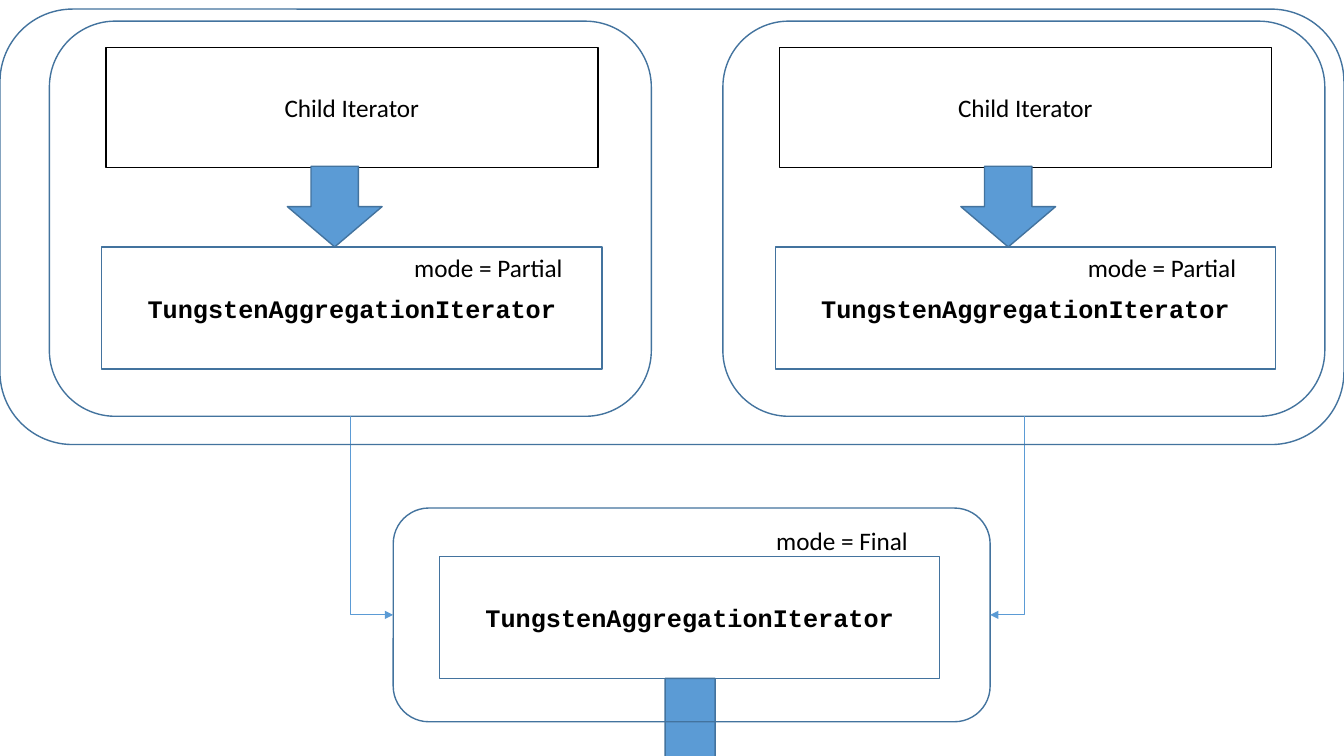
import pptx
import pptx.util
import pptx.dml.color
import pptx.enum.shapes
import pptx.enum.text
import pptx.oxml.ns
import lxml.etree

Inches = pptx.util.Inches
Pt = pptx.util.Pt
RGBColor = pptx.dml.color.RGBColor
Shape = pptx.enum.shapes.MSO_SHAPE
qn = pptx.oxml.ns.qn

BLACK = RGBColor(0x00, 0x00, 0x00)
OUTLINE = RGBColor(0x43, 0x73, 0x9E)
BLUE = RGBColor(0x5B, 0x9B, 0xD5)

BODY = {"name": "Calibri", "size": Pt(18)}
CODE = {"name": "Courier New", "size": Pt(18), "bold": True}
AGGREGATOR = "TungstenAggregationIterator"
AGGREGATOR_SIZE = (4.96, 1.21)


def write(shape, text, font):
    para = shape.text_frame.paragraphs[0]
    span = para.add_run()
    span.text = text
    for name, value in font.items():
        setattr(span.font, name, value)
    span.font.color.rgb = BLACK
    return para


def add_box(page, kind, left, top, width, height, line=OUTLINE, fill=None):
    box = page.shapes.add_shape(kind, Inches(left), Inches(top), Inches(width), Inches(height))
    box.shadow.inherit = False
    if fill is None:
        box.fill.background()
    else:
        box.fill.solid()
        box.fill.fore_color.rgb = fill
    box.line.color.rgb = line
    box.line.width = Pt(1)
    return box


def add_iterator(page, left, top, width, height, text, font, line=OUTLINE):
    box = add_box(page, Shape.RECTANGLE, left, top, width, height, line)
    box.text_frame.vertical_anchor = pptx.enum.text.MSO_ANCHOR.MIDDLE
    write(box, text, font).alignment = pptx.enum.text.PP_ALIGN.CENTER


def add_mode(page, left, top, width, text):
    label = page.shapes.add_textbox(Inches(left), Inches(top), Inches(width), Inches(0.4))
    label.text_frame.word_wrap = False
    label.text_frame.auto_size = pptx.enum.text.MSO_AUTO_SIZE.SHAPE_TO_FIT_TEXT
    write(label, text, BODY)


def add_partial_stage(page, left, top, width, height):
    add_iterator(page, left + 0.56, top + 0.26, 4.88, 1.19, "Child Iterator", BODY, BLACK)
    add_iterator(page, left + 0.52, top + 2.24, *AGGREGATOR_SIZE, AGGREGATOR, CODE)
    add_box(page, Shape.DOWN_ARROW, left + 2.36, top + 1.44, 0.94, 0.8, fill=BLUE)
    add_mode(page, left + 3.52, top + 2.24, 1.69, "mode = Partial")
    add_box(page, Shape.ROUNDED_RECTANGLE, left, top, width, height)


def add_final_stage(page, left, top, width, height):
    add_iterator(page, left + 0.46, top + 0.48, *AGGREGATOR_SIZE, AGGREGATOR, CODE)
    # The output arrow runs past the bottom edge of the slide
    add_box(page, Shape.DOWN_ARROW, left + 2.45, top + 1.69, 0.99, 1.34, fill=BLUE)
    add_mode(page, left + 3.7, top + 0.12, 1.52, "mode = Final")
    add_box(page, Shape.ROUNDED_RECTANGLE, left, top, width, height)


def add_elbow(page, start_x, start_y, end_x, end_y):
    """Arrow that goes down first and then sideways."""
    drop, run = end_y - start_y, abs(end_x - start_x)
    left = (start_x + end_x - drop) / 2
    top = (start_y + end_y - run) / 2
    elbow = page.shapes.add_connector(
        pptx.enum.shapes.MSO_CONNECTOR.ELBOW,
        Inches(left), Inches(top), Inches(left + drop), Inches(top + run))
    elbow.line.color.rgb = BLUE
    elbow.line.width = Pt(0.5)

    # Single bend, turned so that its first leg points down
    properties = elbow._element.spPr
    properties.find(qn("a:prstGeom")).set("prst", "bentConnector2")
    frame = properties.find(qn("a:xfrm"))
    if end_x > start_x:
        frame.set("rot", str(270 * 60000))
        frame.set("flipH", "1")
    else:
        frame.set("rot", str(90 * 60000))
    head = lxml.etree.SubElement(properties.find(qn("a:ln")), qn("a:tailEnd"))
    head.set("type", "triangle")
    lxml.etree.SubElement(properties, qn("a:effectLst"))


def main():
    deck = pptx.Presentation()
    deck.slide_width = Inches(13.33)
    deck.slide_height = Inches(7.5)
    page = deck.slides.add_slide(deck.slide_layouts[6])

    # Stages
    stage_top, stage_width, stage_height = 0.21, 5.97, 3.92
    stage_lefts = (0.49, 7.17)
    final_left, final_top, final_width, final_height = 3.9, 5.04, 5.92, 2.12
    for left in stage_lefts:
        add_partial_stage(page, left, stage_top, stage_width, stage_height)
    add_final_stage(page, final_left, final_top, final_width, final_height)

    # Arrows from the partial stages into the sides of the final stage
    for left, side in zip(stage_lefts, (final_left, final_left + final_width)):
        add_elbow(page, left + stage_width / 2, stage_top + stage_height,
                  side, final_top + final_height / 2)

    # Frame around the partial stages
    add_box(page, Shape.ROUNDED_RECTANGLE, 0, 0.09, 13.33, 4.32)

    deck.save("out.pptx")


if __name__ == "__main__":
    main()
